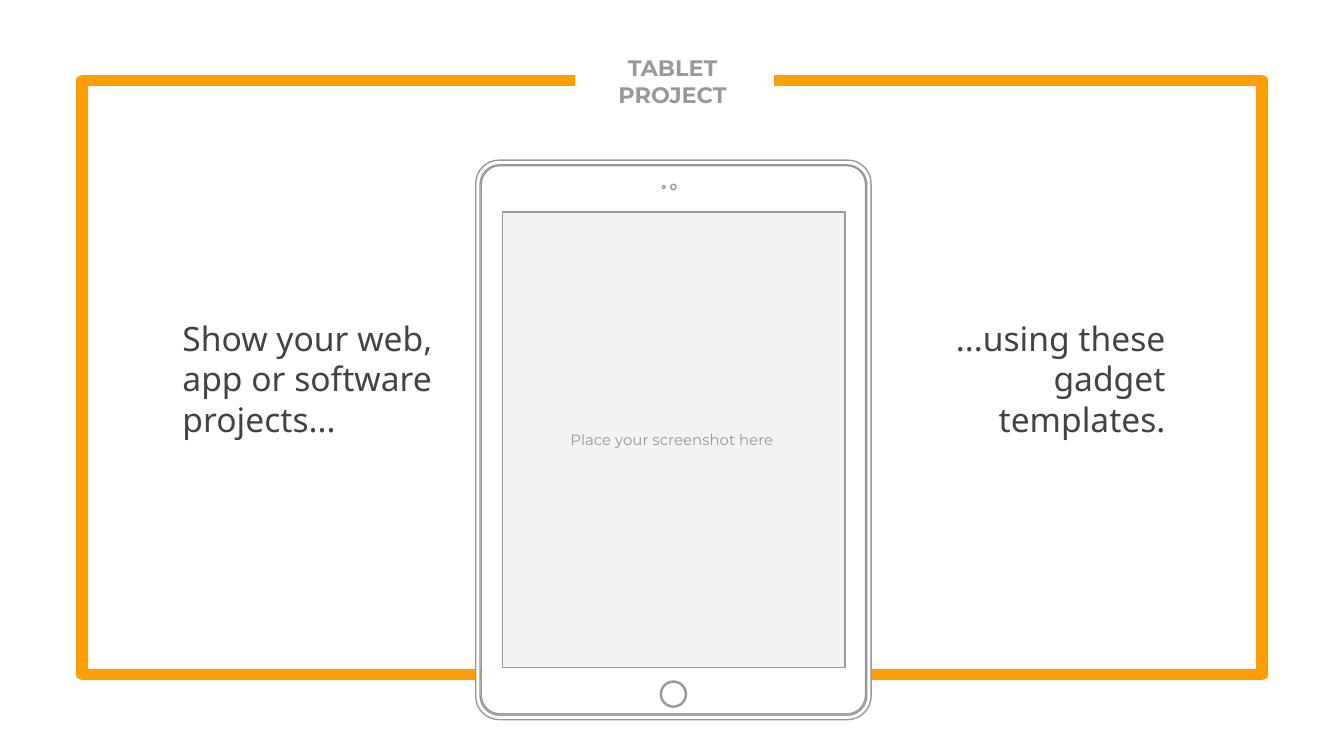
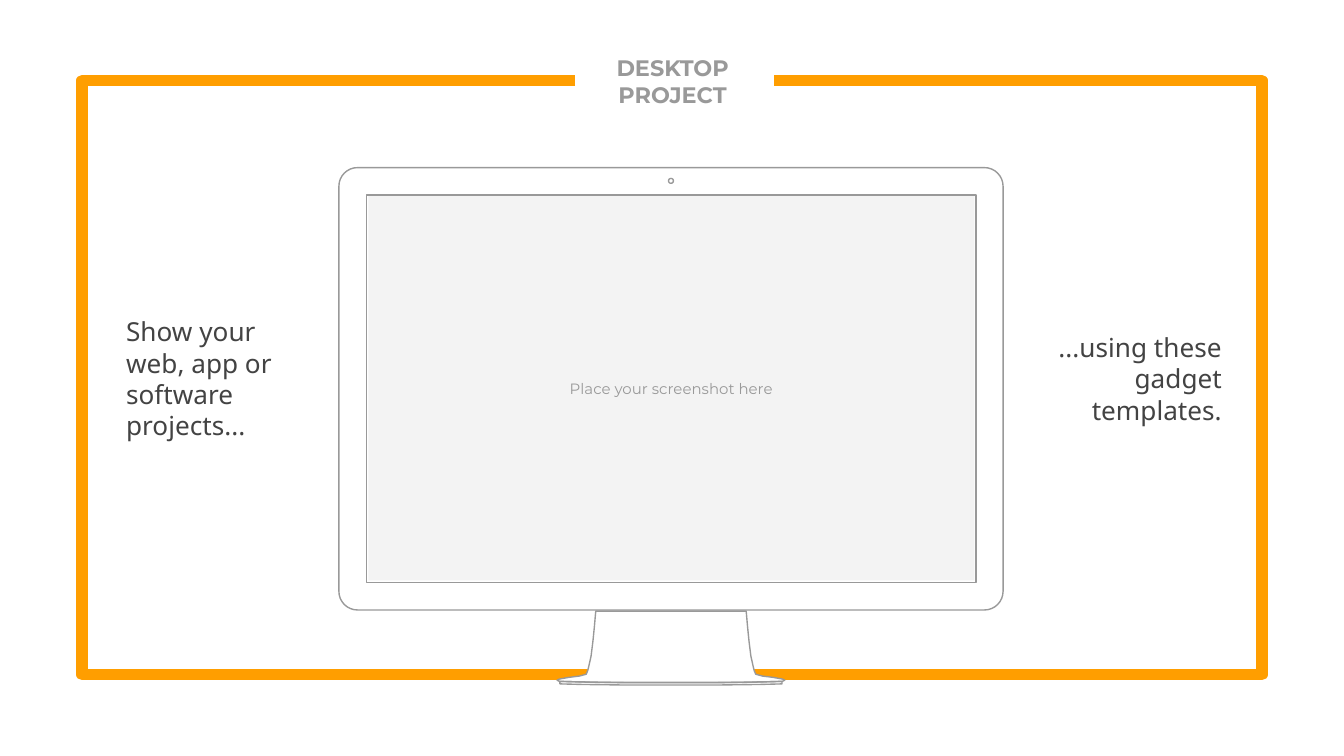
from math import cos, pi, sin

from pptx import Presentation
from pptx.dml.color import RGBColor
from pptx.enum.shapes import MSO_SHAPE as Shape
from pptx.enum.text import MSO_ANCHOR as Anchor, PP_ALIGN as Align
from pptx.util import Pt

ORANGE, GRAY, DARK, PALE, WHITE = "FF9E00", "999999", "434343", "F3F3F3", "FFFFFF"
HEADING_FONT, BODY_FONT = "Montserrat", "Noto Sans"
BODY_TOP, BODY_HEIGHT = 102.24, 200.88


def color(value):
    return RGBColor.from_string(value)


def rounded(left, top, width, height, radius, steps=8):
    right, bottom = left + width - radius, top + height - radius
    left, top = left + radius, top + radius
    corners = [(right, bottom), (left, bottom), (left, top), (right, top)]
    return [
        (x + radius * cos(angle), y + radius * sin(angle))
        for quarter, (x, y) in enumerate(corners)
        for angle in [(quarter + step / steps) * pi / 2 for step in range(steps + 1)]
    ]


def circle(x, y, radius):
    return rounded(x - radius, y - radius, 2 * radius, 2 * radius, radius)


def rectangle(left, top, width, height):
    right, bottom = left + width, top + height
    return [(left, top), (right, top), (right, bottom), (left, bottom)]


def mirrored(center, profile):
    left = [(center - offset, y) for offset, y in profile]
    right = [(center + offset, y) for offset, y in reversed(profile)]
    return left + right


class Slides:
    def __init__(self):
        self.deck = Presentation()
        self.deck.slide_width, self.deck.slide_height = Pt(720), Pt(405)
        self.page = None

    def new_page(self, title_lines):
        self.page = self.deck.slides.add_slide(self.deck.slide_layouts[6])
        frame = [(308.16, 43.2), (43.92, 43.2), (43.92, 361.44),
                 (676.08, 361.44), (676.08, 43.2), (414.72, 43.2)]
        self.outline([frame], ORANGE, 6, close=False)
        box = self.page.shapes.add_textbox(Pt(306.72), Pt(21.6), Pt(107.28), Pt(43.92))
        self.set_text(box, title_lines, HEADING_FONT, 12, GRAY, Align.CENTER, Anchor.TOP, bold=True)

    def outline(self, contours, line, weight, fill=None, close=True):
        builder = None
        for contour in contours:
            points = [(Pt(x), Pt(y)) for x, y in contour]
            if builder is None:
                builder = self.page.shapes.build_freeform(*points[0])
            else:
                builder.move_to(*points[0])
            builder.add_line_segments(points[1:], close=close)
        shape = builder.convert_to_shape()
        shape.shadow.inherit = False
        if fill:
            shape.fill.solid()
            shape.fill.fore_color.rgb = color(fill)
        else:
            shape.fill.background()
        shape.line.color.rgb = color(line)
        shape.line.width = Pt(weight)

    def device(self, contours):
        self.outline(contours, GRAY, 0.75, WHITE)

    def screen(self, left, top, width, height):
        shape = self.page.shapes.add_shape(
            Shape.RECTANGLE, Pt(left), Pt(top), Pt(width), Pt(height))
        shape.shadow.inherit = False
        shape.fill.solid()
        shape.fill.fore_color.rgb = color(PALE)
        shape.line.fill.background()
        self.set_text(shape, ["Place your screenshot here"], HEADING_FONT, 8, GRAY, Align.CENTER)

    def body(self, text, left, width, size, align):
        box = self.page.shapes.add_textbox(Pt(left), Pt(BODY_TOP), Pt(width), Pt(BODY_HEIGHT))
        self.set_text(box, [text], BODY_FONT, size, DARK, align)

    def captions(self, size, first, second):
        self.body("Show your web, app or software projects...", *first, size, Align.LEFT)
        self.body("...using these gadget templates.", *second, size, Align.RIGHT)

    def set_text(self, box, lines, font, size, ink, align, anchor=Anchor.MIDDLE, bold=False):
        frame = box.text_frame
        frame.word_wrap = True
        frame.vertical_anchor = anchor
        frame.margin_left = frame.margin_right = Pt(7.2)
        frame.margin_top = frame.margin_bottom = Pt(7.2)
        for index, line in enumerate(lines):
            para = frame.add_paragraph() if index else frame.paragraphs[0]
            para.alignment = align
            span = para.add_run()
            span.text = line
            span.font.name = font
            span.font.size = Pt(size)
            span.font.bold = bold
            span.font.color.rgb = color(ink)


def tablet_page(slides):
    slides.new_page(["TABLET PROJECT"])
    slides.captions(18, (90.72, 156.24), (475.2, 156.24))
    slides.screen(267.84, 113.04, 184.32, 244.8)
    slides.device([
        rounded(254.9, 85.8, 211.8, 299.8, 12.6),
        rounded(257.2, 88.4, 207.2, 294.8, 10.5),
        rounded(257.9, 88.8, 205.8, 293.7, 10),
        rectangle(269.1, 113.6, 183.6, 244.2),
        circle(355.6, 100.2, 0.7),
        circle(360.8, 100.2, 1.4),
        circle(360.8, 371.9, 7),
        circle(360.8, 371.9, 6.4),
    ])


def desktop_page(slides):
    center = 359.5
    stand = [(40.3, 327.4), (41, 335.5), (41.8, 343.4), (42.8, 351.4), (43.9, 356.4),
             (44.6, 359.3), (45.4, 361.2), (49, 362.2), (54.7, 362.9), (59.8, 363.8),
             (61, 364.4), (59.8, 365), (50.4, 365.3), (38.9, 365.6)]
    foot = [(23, 365.8), (59.5, 365.1), (59.5, 366.4), (47.5, 366.7), (23, 367)]
    slides.new_page(["DESKTOP", "PROJECT"])
    slides.device([
        rounded(181.6, 89.8, 355.8, 237, 10),
        circle(center, 96.9, 1.3),
        rectangle(196.3, 104.5, 326.6, 207.6),
        mirrored(center, stand),
        mirrored(center, foot),
    ])
    slides.captions(14, (60.48, 110.88), (548.64, 113.04))
    slides.screen(197.28, 105.12, 324.72, 205.92)


def main():
    slides = Slides()
    tablet_page(slides)
    desktop_page(slides)
    slides.deck.save("out.pptx")


if __name__ == "__main__":
    main()
